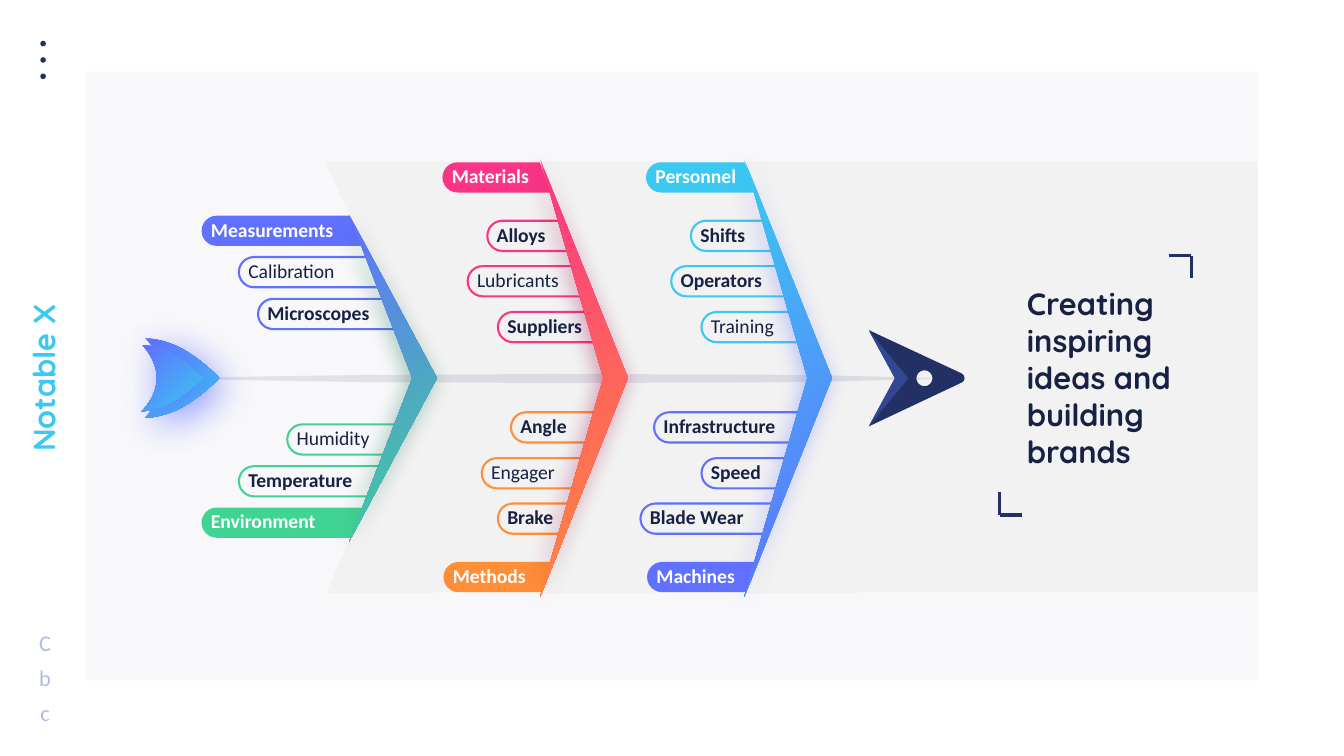
from lxml import etree
from pptx import Presentation, util as u
from pptx.dml.color import RGBColor
from pptx.enum import shapes, text
from pptx.oxml import ns

COLS, ROWS = 26.67, 15
WHITE = RGBColor(0xFF, 0xFF, 0xFF)
NAVY = RGBColor(0x22, 0x30, 0x63)
INK = RGBColor(0x17, 0x21, 0x44)
FIN = RGBColor(0x31, 0x47, 0x92)
PANEL = RGBColor(0xF2, 0xF2, 0xF2)
LILAC = RGBColor(0xB1, 0xBC, 0xE5)
INDIGO = RGBColor(0x60, 0x70, 0xFF)
SKY = RGBColor(0x3B, 0xC8, 0xF1)
PINK = RGBColor(0xFA, 0x35, 0x85)
ORANGE = RGBColor(0xFF, 0x8E, 0x38)
GREEN = RGBColor(0x40, 0xD4, 0x92)
WINE = RGBColor(0x94, 0x04, 0x3E)
FOREST = RGBColor(0x19, 0x71, 0x4A)
PILL_ROW = 0.6
KIND = shapes.MSO_SHAPE

RIBS = [
    {"box": (6.93, 4.26, 1.74, 6.48), "colors": (INDIGO, GREEN), "shade": FOREST,
     "rows": (0.02, 0.84, 1.67), "lift": 0.05,
     "upper": [("Measurements", -2.93, 3.77, True), ("Calibration", -2.19, 3.21, False),
               ("Microscopes", -1.81, 3.36, True)],
     "lower": [("Environment", -2.93, 3.77, True), ("Temperature", -2.19, 3.21, True),
               ("Humidity", -1.23, 2.78, False)],
     "panels": ((6.45, 4.57, 0.457), (6.47, 3.98, 0.463), (8.4, 6.16))},
    {"box": (10.72, 3.16, 1.74, 8.68), "colors": (PINK, ORANGE), "shade": WINE,
     "rows": (0.06, 1.22, 2.12, 3.03), "lift": 0.03,
     "upper": [("Materials", -1.94, 2.53, True), ("Alloys", -1.05, 2.32, True),
               ("Lubricants", -1.44, 2.74, False), ("Suppliers", -0.84, 2.32, True)],
     "lower": [("Methods", -1.92, 2.53, True), ("Brake", -0.84, 1.92, True),
               ("Engager", -1.16, 2.6, False), ("Angle", -0.58, 2.03, True)],
     "panels": ((10.71, 3.77, 0.413), (10.73, 3.77, 0.413), (12.45, 6.16))},
    {"box": (14.77, 3.16, 1.74, 8.68), "colors": (SKY, INDIGO), "shade": INDIGO,
     "rows": (0.06, 1.22, 2.12, 3.03), "lift": 0.03,
     "upper": [("Personnel", -1.95, 2.53, True), ("Shifts", -1.06, 2.32, True),
               ("Operators", -1.45, 2.74, True), ("Training", -0.85, 2.32, False)],
     "lower": [("Machines", -1.93, 2.53, True), ("Blade Wear", -2.06, 3.13, True),
               ("Speed", -0.85, 2.29, True), ("Infrastructure", -1.79, 3.23, True)],
     "panels": ((14.77, 3.77, 0.413), (14.79, 3.77, 0.413), (16.51, 8.45))},
]


def apply(target, values):
    for key, value in values.items():
        setattr(target, key, value)


def paint(item, fill=None, line=None, alpha=None):
    item.shadow.inherit = False
    if fill is None:
        item.fill.background()
    else:
        item.fill.solid()
        item.fill.fore_color.rgb = fill
    if alpha:
        color = item._element.spPr.find(".//" + ns.qn("a:srgbClr"))
        etree.SubElement(color, ns.qn("a:alpha"), val=str(alpha * 1000))
    if line is None:
        item.line.fill.background()
    else:
        item.line.color.rgb = line
        item.line.width = u.Pt(3)
    return item


def preset(slide, kind, box, **look):
    return paint(slide.shapes.add_shape(kind, *map(u.Inches, box)), **look)


def outline(slide, box, *contours, bends=()):
    left, top, width, height = box
    scaled = [[(u.Inches(left + x * width), u.Inches(top + y * height)) for x, y in c]
              for c in contours]
    builder = slide.shapes.build_freeform(*scaled[0][0])
    builder.add_line_segments(scaled[0][1:])
    for contour in scaled[1:]:
        builder.move_to(*contour[0])
        builder.add_line_segments(contour[1:])
    item = builder.convert_to_shape()
    edges = list(item._element.iter(ns.qn("a:lnTo")))
    for start in bends:
        bend = etree.Element(ns.qn("a:cubicBezTo"))
        edges[start].addprevious(bend)
        for edge in edges[start:start + 3]:
            bend.append(edge[0])
            edge.getparent().remove(edge)
    return item


def grade(item, colors, radial=False):
    item.fill.gradient()
    item.fill.gradient_angle = 300
    for stop, color in zip(item.fill.gradient_stops, colors):
        stop.color.rgb = color
    if radial:
        linear = item._element.spPr.find(".//" + ns.qn("a:lin"))
        circle = etree.Element(ns.qn("a:path"), path="circle")
        etree.SubElement(circle, ns.qn("a:fillToRect"), l="100000", t="100000")
        linear.getparent().replace(linear, circle)


def shade(item, color, alpha, blur, distance, angle):
    effects = item._element.spPr.find(ns.qn("a:effectLst"))
    shadow = etree.SubElement(effects, ns.qn("a:outerShdw"), blurRad=str(u.Pt(blur)),
                              dist=str(u.Pt(distance)), dir=str(angle * 60000),
                              algn="ctr", rotWithShape="0")
    tint = etree.SubElement(shadow, ns.qn("a:srgbClr"), val=str(color))
    etree.SubElement(tint, ns.qn("a:alpha"), val=str(alpha * 1000))


def write(holder, words, size, color, bold=False, font="Calibri", frame=None, para=None):
    apply(holder.text_frame, {"word_wrap": True, **(frame or {})})
    line = holder.text_frame.paragraphs[0]
    apply(line, {"alignment": text.PP_ALIGN.LEFT, **(para or {})})
    run = line.add_run()
    run.text = words
    apply(run.font, {"size": u.Pt(size), "bold": bold, "name": font})
    run.font.color.rgb = color


def label(slide, box, words, **look):
    holder = slide.shapes.add_textbox(*map(u.Inches, box))
    write(holder, words, **look)
    return holder


def sidebar(slide, box):
    left, top, width, height = box
    centred = {"alignment": text.PP_ALIGN.CENTER}
    title = label(slide, (left - 1.54, top + 7.08, 4.8, 0.84), "Notable X", size=44,
                  color=SKY, bold=True, font="Quicksand", para=centred)
    title.rotation = 270
    for i, letter in enumerate("Cbc"):
        preset(slide, KIND.OVAL, (left + 0.8, top + 0.81 + 0.325 * i, 0.11, 0.11), fill=NAVY)
        label(slide, (left + 0.57, top + 12.43 + 0.695 * i, 0.65, 0.64), letter, size=32,
              color=LILAC, para=centred,
              frame={"word_wrap": False, "vertical_anchor": text.MSO_ANCHOR.MIDDLE})


def branches(slide, rib):
    left, top, width, height = rib["box"]
    for side, color in zip(("upper", "lower"), rib["colors"]):
        for i, (words, shift, span, bold) in enumerate(rib[side]):
            row = rib["rows"][i]
            y = top + (row if side == "upper" else height - PILL_ROW - rib["lift"] - row)
            look = {"line": color} if i else {"fill": color}
            pill = preset(slide, KIND.ROUNDED_RECTANGLE, (left + shift, y, span, PILL_ROW), **look)
            pill.adjustments[0] = 0.5
            write(pill, words, 28, INK if i else WHITE, bold, para={"line_spacing": 0.89},
                  frame={"vertical_anchor": text.MSO_ANCHOR.MIDDLE,
                         "margin_top": 0, "margin_bottom": 0})


def backdrop(slide, box, panels):
    top, half = box[1], box[3] / 2
    upper, lower, rest = panels
    for i, (x, span, slant) in enumerate((upper, lower)):
        wing = preset(slide, KIND.PARALLELOGRAM, (x, top + i * half, span, half), fill=PANEL)
        wing.adjustments[0] = slant
        if i == 0:
            wing._element.spPr.xfrm.set("flipH", "1")
    preset(slide, KIND.RECTANGLE, (rest[0], top, rest[1], 2 * half - 0.03), fill=PANEL)


def spine(slide, box):
    edge = [(0, 0.44), (0.25, 0.11), (0.37, 0.06), (0.5, 0), (0.62, 0.03),
            (0.75, 0.06), (0.81, 0.11), (0.87, 0.17), (1, 0.44)]
    paint(outline(slide, box, edge + [(x, 1 - y) for x, y in reversed(edge)]), NAVY, alpha=11)


def bone(slide, rib):
    form = [(0, 1), (0.72, 0.5), (0.02, 0.015), (0, 0), (1, 0.5)]
    chevron = paint(outline(slide, rib["box"], form))
    grade(chevron, rib["colors"])
    shade(chevron, rib["shade"], 41, 31, 7, 135)


def tail(slide, box):
    half = [(0.25, 0.5), (0.25, 0.79), (0, 1), (0, 1), (0, 1), (0.27, 1), (0.55, 0.84),
            (0.83, 0.68), (1, 0.5), (1, 0.5)]
    mirrored = [(x, 1 - y) for x, y in reversed(half[:-1])]
    fin = paint(outline(slide, box, half + mirrored, bends=range(0, 18, 3)))
    grade(fin, (SKY, INDIGO), radial=True)
    shade(fin, INDIGO, 48, 55, 15, 45)


def head(slide, box):
    skull = [(0, 1), (0.96, 0.545), (1, 0.53), (1, 0.47), (0.96, 0.45), (0, 0), (0.27, 0.5)]
    ring = [(1, 0), (1, 0.55), (0.55, 1), (0, 1), (-0.55, 1), (-1, 0.55), (-1, 0),
            (-1, -0.55), (-0.55, -1), (0, -1), (0.55, -1), (1, -0.55), (1, 0)]
    eye = [(0.575 + 0.083 * x, 0.5 + 0.083 * y) for x, y in ring]
    paint(outline(slide, box, skull, eye, bends=(1, 6, 9, 12, 15)), NAVY)
    paint(outline(slide, box, [(0, 1), (0.27, 0.5), (0.01, 0.02), (0.41, 0.5)]), FIN)


def message(slide, box):
    left, top, width, height = box
    label(slide, (left + 0.44, top + 0.53, 3.63, 3.8),
          "Creating inspiring ideas and building brands",
          size=44, color=INK, bold=True, font="Quicksand")
    for x, y, step in ((left + width, top, 0.45), (left, top + height, -0.45)):
        for dx, dy in ((-step, 0), (0, step)):
            bracket = slide.shapes.add_connector(
                shapes.MSO_CONNECTOR.STRAIGHT, *map(u.Inches, (x + dx, y + dy, x, y)))
            bracket.line.color.rgb = NAVY
            bracket.line.width = u.Pt(4.5)
            etree.SubElement(bracket._element.spPr, ns.qn("a:effectLst"))


def main():
    deck = Presentation()
    apply(deck, {"slide_width": u.Inches(COLS), "slide_height": u.Inches(ROWS)})
    slide = deck.slides.add_slide(deck.slide_layouts[6])
    sidebar(slide, (0, 0, 1.71, ROWS))
    preset(slide, KIND.RECTANGLE, (1.71, 1.42, 23.25, 12.08), fill=NAVY, alpha=3)
    for rib in RIBS:
        branches(slide, rib)
        backdrop(slide, (0, 3.2, COLS, 8.58), rib["panels"])
    spine(slide, (3.43, 7.42, 15.03, 0.18))
    bone(slide, RIBS[1])
    tail(slide, (2.88, 6.71, 1.47, 1.58))
    tail(slide, (2.81, 6.84, 1.21, 1.32))
    bone(slide, RIBS[0])
    head(slide, (17.24, 6.55, 1.92, 1.91))
    bone(slide, RIBS[2])
    message(slide, (19.84, 5.07, 3.8, 5.15))
    preset(slide, KIND.RECTANGLE, (24.96, 1.14, COLS - 24.96, 12.71), fill=WHITE)
    deck.save("out.pptx")


if __name__ == "__main__":
    main()
